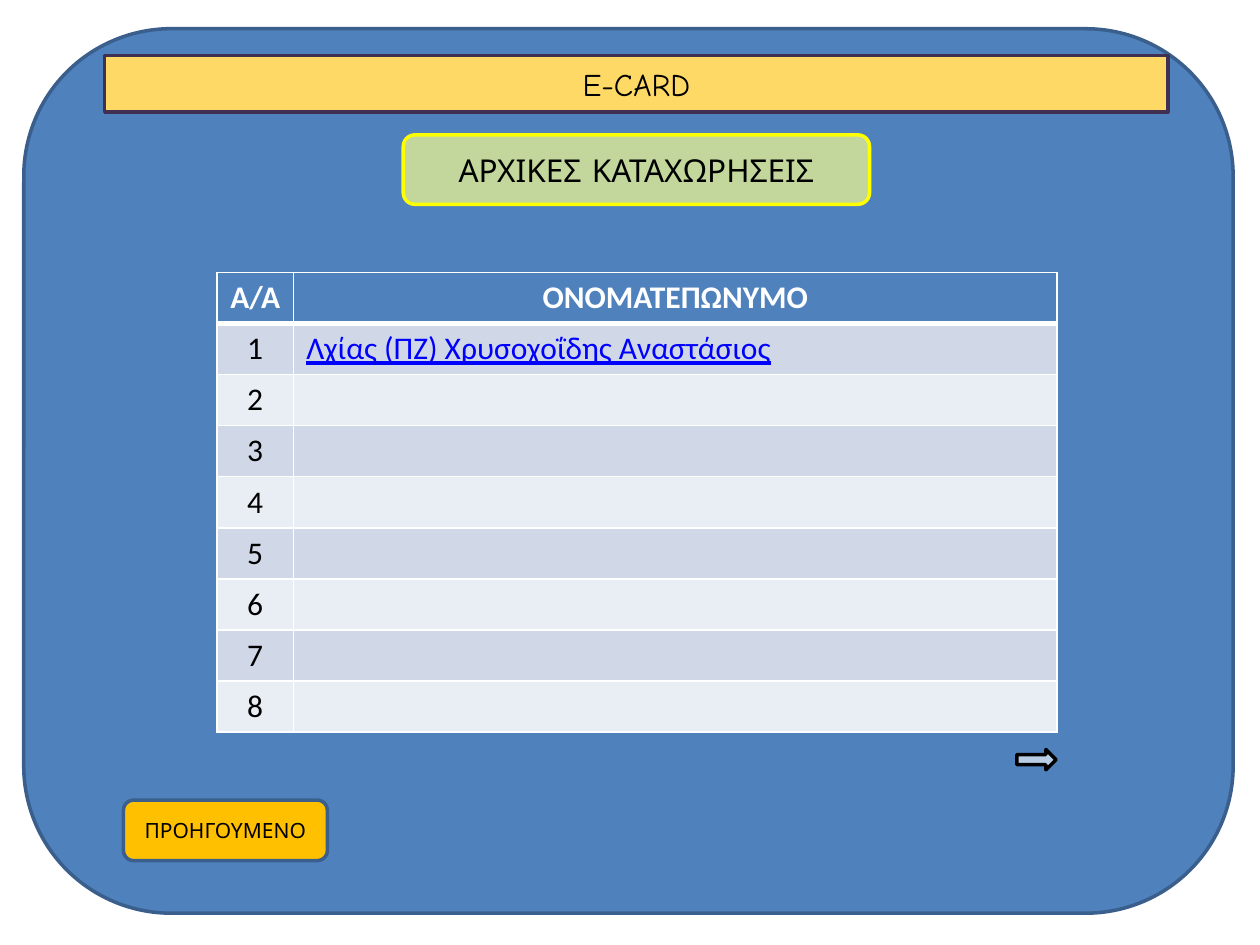
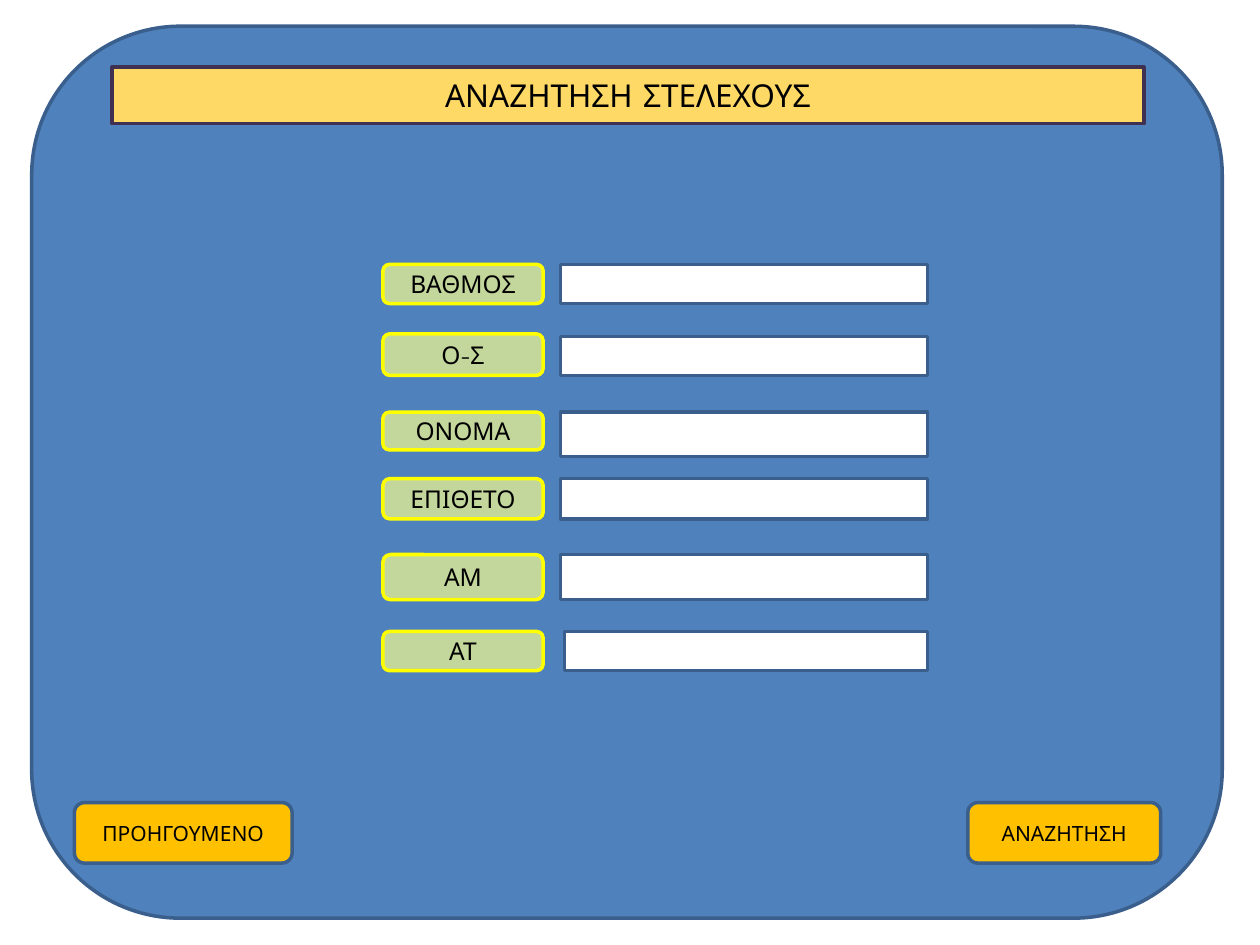
from lxml.etree import SubElement
from pptx import Presentation
from pptx.dml.color import RGBColor as RGB
from pptx.enum.shapes import MSO_SHAPE as SHAPE
from pptx.enum.text import MSO_ANCHOR as ANCHOR, MSO_AUTO_SIZE as AUTO_SIZE, PP_ALIGN as ALIGN
from pptx.oxml.ns import qn
from pptx.util import Cm, Pt

BLUE = RGB(0x4F, 0x81, 0xBD)
DARK_BLUE = RGB(0x3A, 0x5F, 0x8C)
LIGHT_BLUE = RGB(0xB9, 0xCD, 0xE5)
GREEN = RGB(0xC3, 0xD6, 0x9B)
YELLOW = RGB(0xFF, 0xFF, 0x00)
SAND = RGB(0xFF, 0xD9, 0x66)
PURPLE = RGB(0x40, 0x31, 0x52)
AMBER = RGB(0xFF, 0xC0, 0x00)
ODD_ROW = RGB(0xD0, 0xD8, 0xE8)
EVEN_ROW = RGB(0xE9, 0xED, 0xF4)
LINK_BLUE = RGB(0x00, 0x00, 0xFF)
BLACK = RGB(0x00, 0x00, 0x00)
WHITE = RGB(0xFF, 0xFF, 0xFF)

DISPLAY_FONT = "Comic Neue"
TABLE_FONT = "Calibri"
OUTLINE = Pt(2)


def write(frame, text, size=18, font=DISPLAY_FONT, color=BLACK, bold=False,
          underline=False, align=ALIGN.CENTER):
    paragraph = frame.paragraphs[0]
    paragraph.alignment = align
    run = paragraph.add_run()
    run.text = text
    run.font.size = Pt(size)
    run.font.name = font
    run.font.color.rgb = color
    run.font.bold = bold
    run.font.underline = underline


def add_box(slide, kind, box, fill, line, text="", size=18):
    """Add a filled, outlined shape; box is left, top, width, height in cm."""
    shape = slide.shapes.add_shape(kind, *map(Cm, box))
    shape.shadow.inherit = False
    shape.fill.solid()
    shape.fill.fore_color.rgb = fill
    shape.line.color.rgb = line
    shape.line.width = OUTLINE
    if text:
        frame = shape.text_frame
        frame.margin_left = frame.margin_right = Cm(0.1)
        frame.margin_top = frame.margin_bottom = 0
        frame.vertical_anchor = ANCHOR.MIDDLE
        write(frame, text, size)
    return shape


prs = Presentation()
prs.slide_width, prs.slide_height = Cm(25.4), Cm(19.05)

# Shared frame of each screen: blue panel, title band, amber buttons
SCREENS = [
    ("E-CARD", (2.11, 1.12, 21.44, 1.14), (0.48, 0.58, 24.38, 17.83),
     [("ΠΡΟΗΓΟΥΜΕΝΟ", (2.49, 16.13, 4.11, 1.22))]),
    ("ΑΝΑΖΗΤΗΣΗ ΣΤΕΛΕΧΟΥΣ", (2.26, 1.35, 20.8, 1.14), (0.64, 0.53, 24, 17.98),
     [("ΠΡΟΗΓΟΥΜΕΝΟ", (1.5, 16.18, 4.39, 1.22)),
      ("ΑΝΑΖΗΤΗΣΗ", (19.51, 16.18, 3.89, 1.22))]),
]
for heading, band, panel_box, buttons in SCREENS:
    slide = prs.slides.add_slide(prs.slide_layouts[5])
    panel = add_box(slide, SHAPE.ROUNDED_RECTANGLE, panel_box, BLUE, DARK_BLUE)
    title = slide.shapes.title
    title._element.addprevious(panel._element)
    title.left, title.top, title.width, title.height = map(Cm, band)
    title.fill.solid()
    title.fill.fore_color.rgb = SAND
    title.line.color.rgb = PURPLE
    title.line.width = OUTLINE
    title.text_frame.auto_size = AUTO_SIZE.NONE
    title.text_frame.vertical_anchor = ANCHOR.MIDDLE
    write(title.text_frame, heading)
    for caption, box in buttons:
        add_box(slide, SHAPE.ROUNDED_RECTANGLE, box, AMBER, DARK_BLUE, caption, 12)

entries_slide, search_slide = prs.slides

# Initial entries
add_box(entries_slide, SHAPE.ROUNDED_RECTANGLE, (8.13, 2.72, 9.4, 1.4),
        GREEN, YELLOW, "ΑΡΧΙΚΕΣ ΚΑΤΑΧΩΡΗΣΕΙΣ")

ENTRIES = [("Α/Α", "ΟΝΟΜΑΤΕΠΩΝΥΜΟ"), ("1", "Λχίας (ΠΖ) Χρυσοχοΐδης Αναστάσιος")]
ENTRIES += [(str(number), "") for number in range(2, 9)]
ROW_HEIGHT = 1.03
entries = entries_slide.shapes.add_table(
    len(ENTRIES), 2, Cm(4.37), Cm(5.49), Cm(16.94), Cm(ROW_HEIGHT * len(ENTRIES))).table
entries.columns[0].width, entries.columns[1].width = Cm(1.55), Cm(15.39)

for r, entry in enumerate(ENTRIES):
    entries.rows[r].height = Cm(ROW_HEIGHT)
    for c, text in enumerate(entry):
        cell = entries.cell(r, c)
        borders = cell._tc.get_or_add_tcPr()
        for side in ("lnL", "lnR", "lnT", "lnB"):
            under_header = (r, side) in ((0, "lnB"), (1, "lnT"))
            border = SubElement(borders, qn(f"a:{side}"), w=str(Pt(3 if under_header else 1)))
            paint = SubElement(border, qn("a:solidFill"))
            SubElement(paint, qn("a:srgbClr"), val=str(WHITE))
        cell.fill.solid()
        cell.fill.fore_color.rgb = BLUE if r == 0 else ODD_ROW if r % 2 else EVEN_ROW
        if r == 0:
            write(cell.text_frame, text, font=TABLE_FONT, color=WHITE, bold=True)
        elif c == 0:
            write(cell.text_frame, text, font=TABLE_FONT)
        elif text:
            write(cell.text_frame, text, font=TABLE_FONT, color=LINK_BLUE,
                  underline=True, align=ALIGN.LEFT)

add_box(entries_slide, SHAPE.RIGHT_ARROW, (20.5, 15.11, 0.79, 0.41), LIGHT_BLUE, BLACK)

# Search form: label top and height, input top and height
FIELDS = [
    ("ΒΑΘΜΟΣ", 5.33, 0.79, 5.33, 0.79),
    ("Ο-Σ", 6.73, 0.84, 6.78, 0.79),
    ("ΟΝΟΜΑ", 8.31, 0.76, 8.31, 0.89),
    ("ΕΠΙΘΕΤΟ", 9.65, 0.81, 9.65, 0.81),
    ("ΑΜ", 11.18, 0.91, 11.18, 0.91),
    ("ΑΤ", 12.73, 0.79, 12.73, 0.79),
]
INPUT_RIGHT = 18.7
for label, label_top, label_height, input_top, input_height in FIELDS:
    add_box(search_slide, SHAPE.ROUNDED_RECTANGLE, (7.72, label_top, 3.23, label_height),
            GREEN, YELLOW, label, 14)
    input_left = 11.38 if label == "ΑΤ" else 11.3
    add_box(search_slide, SHAPE.RECTANGLE,
            (input_left, input_top, INPUT_RIGHT - input_left, input_height), WHITE, DARK_BLUE)

prs.save("out.pptx")
